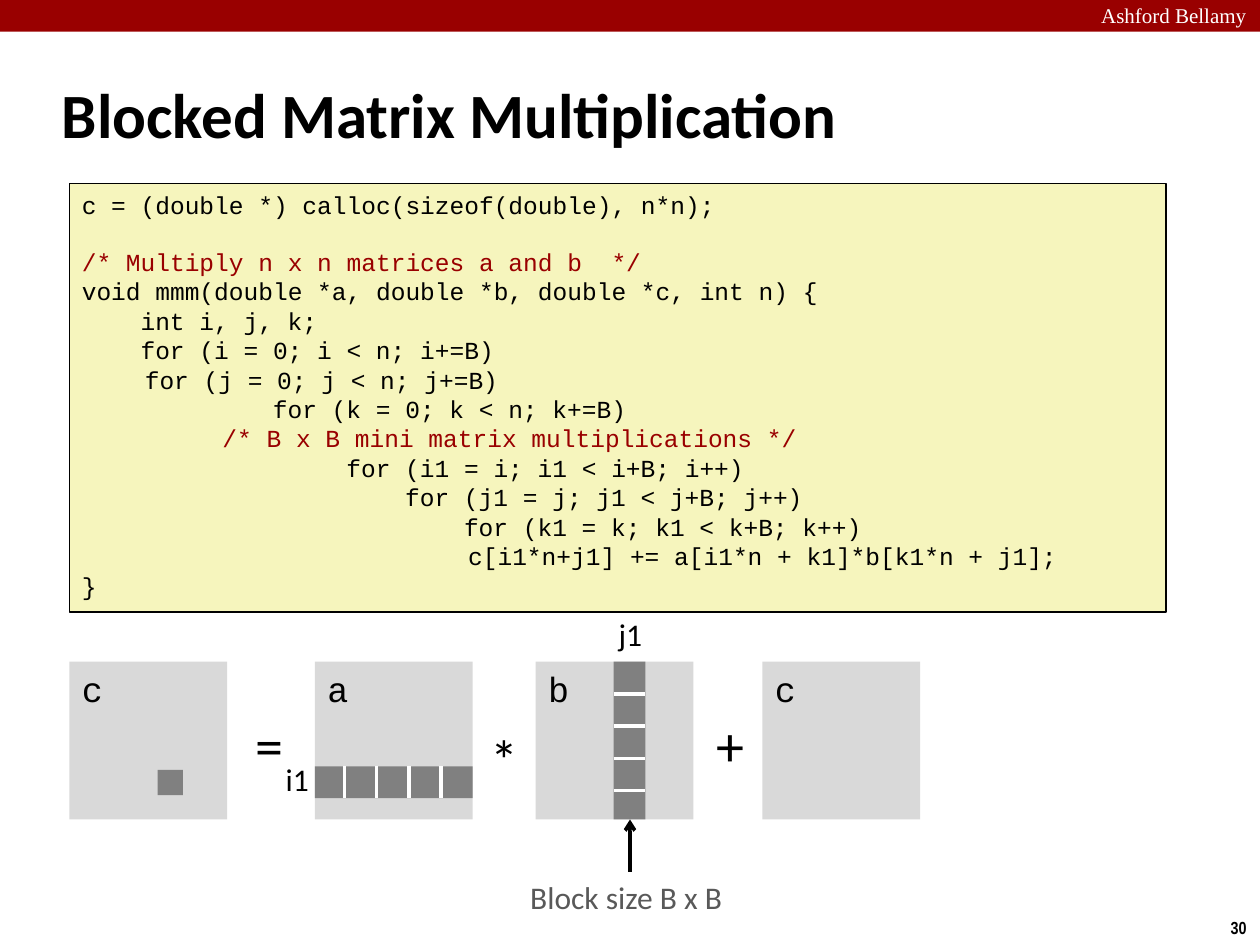
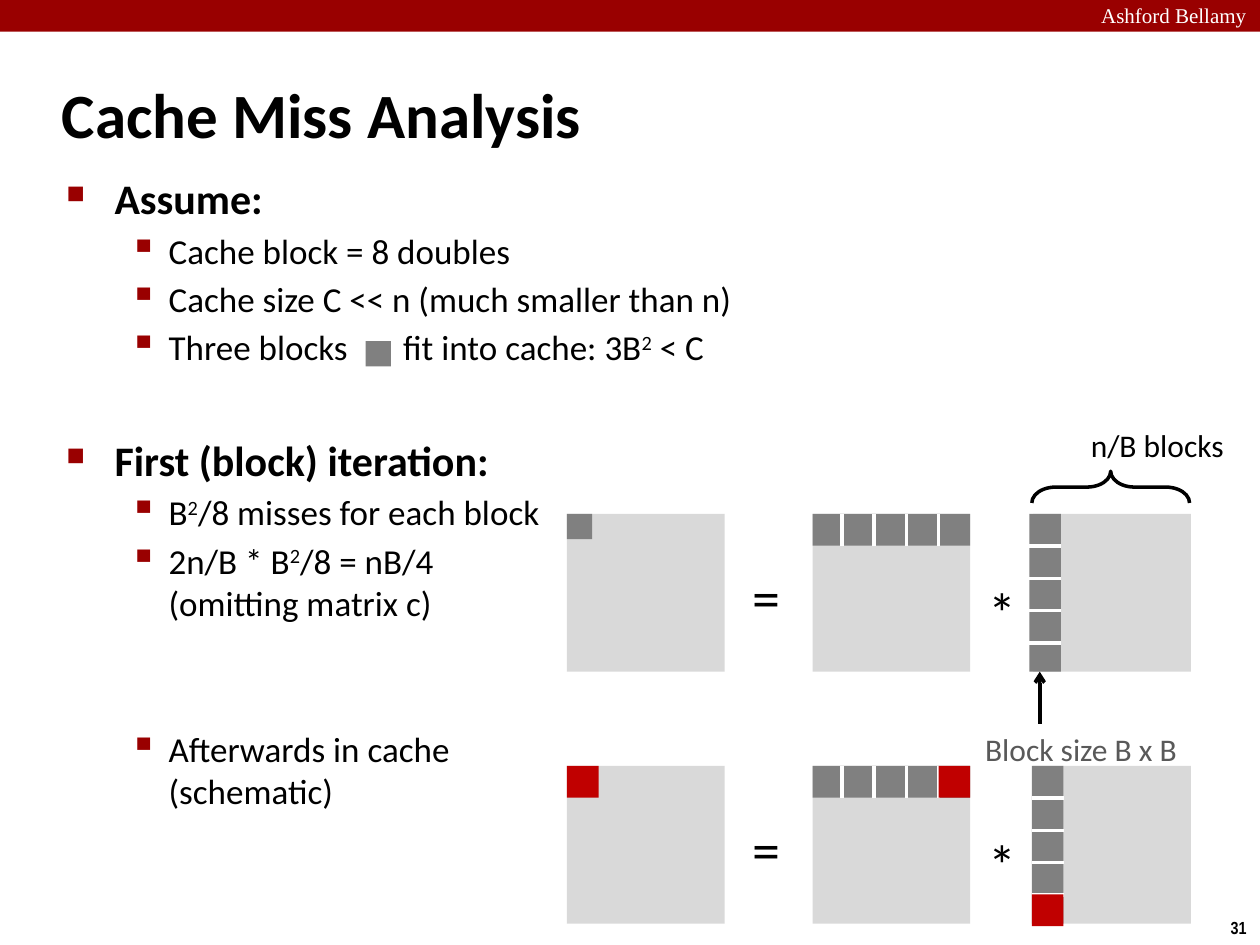
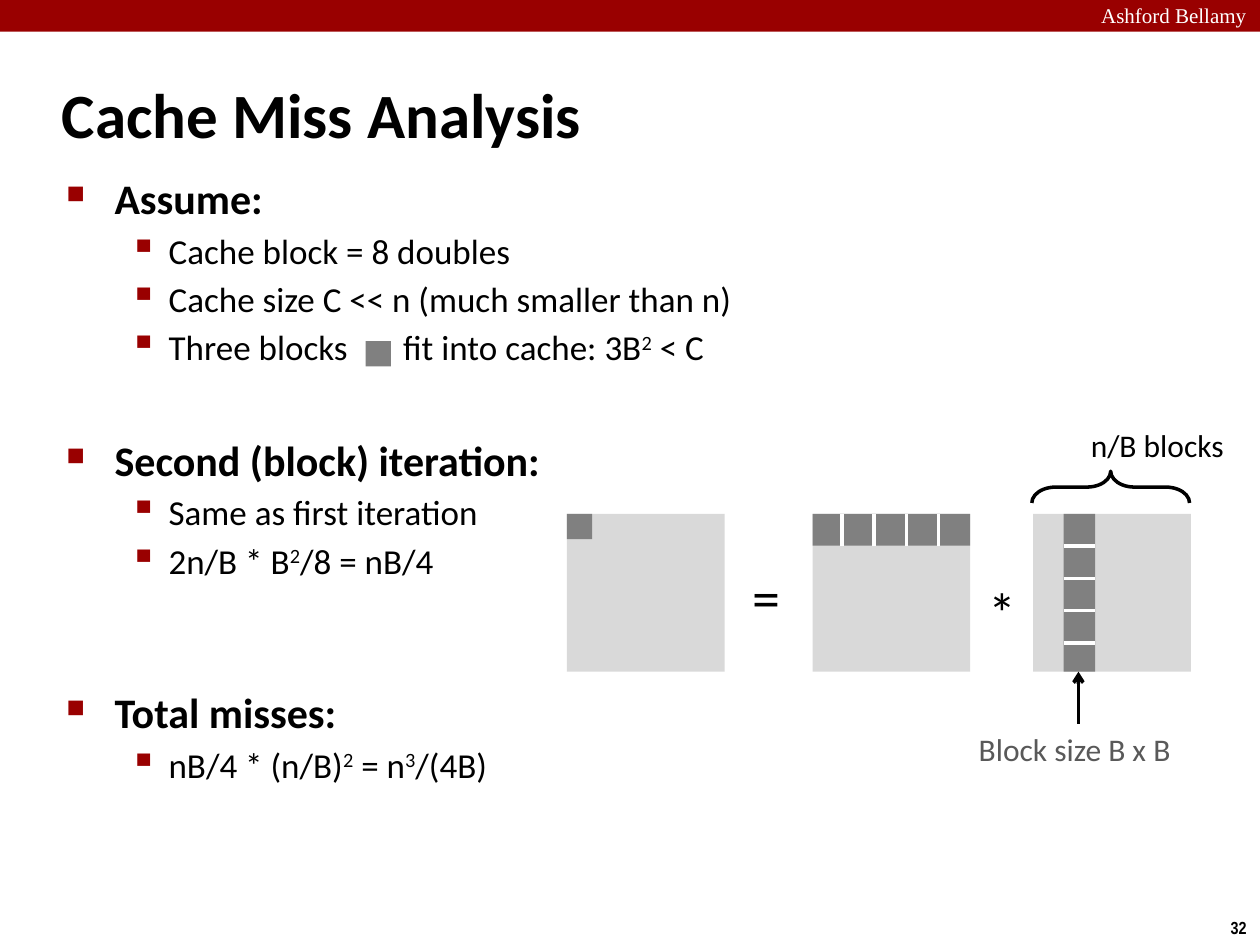
from lxml import etree
from pptx import Presentation
from pptx.dml.color import RGBColor
from pptx.enum.shapes import MSO_CONNECTOR, MSO_SHAPE
from pptx.enum.text import MSO_ANCHOR, PP_ALIGN
from pptx.oxml.ns import qn
from pptx.util import Cm, Pt

RECTANGLE = MSO_SHAPE.RECTANGLE
LEFT_BRACE = MSO_SHAPE.LEFT_BRACE
STRAIGHT = MSO_CONNECTOR.STRAIGHT
TOP, MIDDLE = MSO_ANCHOR.TOP, MSO_ANCHOR.MIDDLE
LEFT = PP_ALIGN.LEFT

COLORS = {
    "crimson": "990000", "white": "FFFFFF", "black": "000000",
    "code": "F6F5BD", "matrix": "D9D9D9", "block": "808080",
    "cached": "C00000", "caption": "595959",
}
FORMATS = {
    "header": {"name": "Times New Roman", "size": Pt(12), "color": "white"},
    "number": {"name": "Arial Narrow", "size": Pt(10), "bold": True, "color": "black"},
    "title": {"name": "Calibri", "size": Pt(36), "bold": True, "color": "black"},
    "heading": {"name": "Calibri", "size": Pt(24), "bold": True, "color": "black"},
    "item": {"name": "Calibri", "size": Pt(20), "bold": False, "color": "black"},
    "label": {"name": "Calibri", "size": Pt(18), "color": "black"},
    "caption": {"name": "Calibri", "size": Pt(18), "color": "caption"},
    "operator": {"name": "Calibri", "size": Pt(32), "color": "black"},
    "matrix": {"name": "Courier New", "size": Pt(20), "color": "black"},
    "code": {"name": "Courier New", "size": Pt(14), "color": "black"},
    "comment": {"name": "Courier New", "size": Pt(14), "color": "crimson"},
}
LEVELS = {
    "heading": {"indent": (0.97, -0.97), "before": 4.3, "bullet": "■", "scale": 60},
    "item": {"indent": (2.06, -0.79), "before": 3.6, "bullet": "▪", "scale": 110},
}

SIDE = 3.18
CELL = 0.64
SMALL_BLOCK = 0.51
DIVIDER_PITCH = 0.65
ROW_SHIFT = -0.06
A_LEFT, B_LEFT, SUM_LEFT = 4.95, 9.4, 13.97
OPERATORS = {"=": (3.5, 0.85), "*": (8.24, 1.15), "+": (12.8, 0.85)}

CODE_TAB = Cm(1.27)
CODE_CHARACTER = Pt(8.4)
CODE_LINE = 15.9
CODE = [
    (0, 0, "code", "c = (double *) calloc(sizeof(double), n*n);"),
    (0, 0, "comment", "/* Multiply n x n matrices a and b  */"),
    (0, 0, "code", "void mmm(double *a, double *b, double *c, int n) {"),
    (0, 4, "code", "int i, j, k;"),
    (0, 4, "code", "for (i = 0; i < n; i+=B)"),
    (1, 0, "code", "for (j = 0; j < n; j+=B)"),
    (0, 13, "code", "for (k = 0; k < n; k+=B)"),
    (2, 1, "comment", "/* B x B mini matrix multiplications */"),
    (0, 18, "code", "for (i1 = i; i1 < i+B; i++)"),
    (0, 22, "code", "for (j1 = j; j1 < j+B; j++)"),
    (0, 26, "code", "for (k1 = k; k1 < k+B; k++)"),
    (1, 22, "code", "c[i1*n+j1] += a[i1*n + k1]*b[k1*n + j1];"),
    (0, 0, "code", "}"),
]
CODE_GAP_BEFORE = 1

SQUARED = ("2", {"baseline": "30000"})
CUBED = ("3", {"baseline": "30000"})
BLOCK_GAP = (" ", {"spc": "2710"})
BREAK = "\n"
ASSUMPTIONS = [
    ("heading", 0, ["Assume:"]),
    ("item", 0, ["Cache block = 8 doubles"]),
    ("item", 0, ["Cache size C << n (much smaller than n)"]),
    ("item", 0, ["Three blocks", BLOCK_GAP, "fit into cache: 3B", SQUARED, " < C"]),
]
FIRST_ITERATION = [
    ("heading", 33.6, ["First (block) iteration:"]),
    ("item", 0, ["B", SQUARED, "/8 misses for each block"]),
    ("item", 0, ["2n/B * B", SQUARED, "/8 = nB/4", BREAK, "(omitting matrix c)"]),
    ("item", 56, ["Afterwards in cache", BREAK, "(schematic)"]),
]
SECOND_ITERATION = [
    ("heading", 33.6, ["Second (block) iteration:"]),
    ("item", 0, ["Same as first iteration"]),
    ("item", 0, ["2n/B * B", SQUARED, "/8 = nB/4"]),
    ("heading", 56, ["Total misses:"]),
    ("item", 0, ["nB/4 * (n/B)", SQUARED, " = n", CUBED, "/(4B)"]),
]


def rgb(color):
    return RGBColor.from_string(COLORS[color])


def apply_format(font, style):
    for attribute, value in FORMATS[style].items():
        if attribute == "color":
            font.color.rgb = rgb(value)
        else:
            setattr(font, attribute, value)


def add_run(paragraph, text, style):
    run = paragraph.add_run()
    run.text = text
    apply_format(run.font, style)
    return run


def next_paragraph(frame, index):
    paragraph = frame.paragraphs[0] if index == 0 else frame.add_paragraph()
    paragraph.alignment = LEFT
    return paragraph


def add_text(slide, left, top, width, height, text, style, anchor=TOP):
    box = slide.shapes.add_textbox(Cm(left), Cm(top), Cm(width), Cm(height))
    frame = box.text_frame
    frame.word_wrap = False
    frame.vertical_anchor = anchor
    add_run(next_paragraph(frame, 0), text, style)


def add_rectangle(slide, left, top, width, height, fill, outline=None):
    shape = slide.shapes.add_shape(RECTANGLE, Cm(left), Cm(top), Cm(width), Cm(height))
    shape.shadow.inherit = False
    shape.fill.solid()
    shape.fill.fore_color.rgb = rgb(fill)
    if outline:
        shape.line.color.rgb = rgb(outline)
        shape.line.width = Pt(1)
    else:
        shape.line.fill.background()
    return shape


def add_line(slide, start, end, color, arrow=False):
    line = slide.shapes.add_connector(STRAIGHT, *[Cm(value) for value in start + end])
    line.line.color.rgb = rgb(color)
    line.line.width = Pt(2)
    if arrow:
        etree.SubElement(line.line._get_or_add_ln(), qn("a:tailEnd"), type="arrow")
    etree.SubElement(line._element.spPr, qn("a:effectLst"))


def add_frame(presentation, title, number):
    slide = presentation.slides.add_slide(presentation.slide_layouts[6])
    add_rectangle(slide, 0, 0, 25.4, 0.64, "crimson")
    add_text(slide, 21.95, -0.08, 3.63, 0.76, "Ashford Bellamy", "header")
    add_text(slide, 24.56, 18.36, 0.86, 0.69, str(number), "number")
    add_text(slide, 1, 1.22, 21.08, 2.11, title, "title", MIDDLE)
    return slide


def add_code(slide, left, top, width, height):
    panel = add_rectangle(slide, left, top, width, height, "code", "black")
    frame = panel.text_frame
    frame.word_wrap = True
    frame.vertical_anchor = TOP
    for index, (tabs, characters, style, text) in enumerate(CODE):
        paragraph = next_paragraph(frame, index)
        margin = tabs * CODE_TAB + characters * CODE_CHARACTER
        paragraph._p.get_or_add_pPr().set("marL", str(int(margin)))
        if index == CODE_GAP_BEFORE:
            paragraph.space_before = Pt(CODE_LINE)
        add_run(paragraph, text, style)


def format_bullet(paragraph, level):
    properties = paragraph._p.get_or_add_pPr()
    for name, value in zip(("marL", "indent"), level["indent"]):
        properties.set(name, str(int(Cm(value))))
    color = etree.SubElement(properties, qn("a:buClr"))
    etree.SubElement(color, qn("a:srgbClr"), val=COLORS["crimson"])
    etree.SubElement(properties, qn("a:buSzPct"), val=str(level["scale"] * 1000))
    etree.SubElement(properties, qn("a:buChar"), char=level["bullet"])


def add_outline(slide, left, top, width, height, items):
    box = slide.shapes.add_textbox(Cm(left), Cm(top), Cm(width), Cm(height))
    frame = box.text_frame
    frame.word_wrap = True
    for index, (style, gap, pieces) in enumerate(items):
        paragraph = next_paragraph(frame, index)
        paragraph.space_before = Pt(LEVELS[style]["before"] + gap)
        format_bullet(paragraph, LEVELS[style])
        for piece in pieces:
            if piece == BREAK:
                paragraph.add_line_break()
                continue
            text, attributes = (piece, {}) if isinstance(piece, str) else piece
            run = add_run(paragraph, text, style)
            for name, value in attributes.items():
                run._r.get_or_add_rPr().set(name, value)
    add_rectangle(slide, left + 6.28, top + 3.53, SMALL_BLOCK, SMALL_BLOCK, "block")


def add_matrix(slide, left, top, name):
    matrix = add_rectangle(slide, left, top, SIDE, SIDE, "matrix")
    if name:
        matrix.text_frame.vertical_anchor = TOP
        add_run(next_paragraph(matrix.text_frame, 0), name, "matrix")


def add_row_strip(slide, left, top):
    add_rectangle(slide, left, top, SIDE, CELL, "block")
    for index in range(1, 5):
        x = left + index * DIVIDER_PITCH + ROW_SHIFT
        add_line(slide, (x, top), (x, top + CELL), "white")


def add_column_strip(slide, left, top):
    add_rectangle(slide, left, top, CELL, SIDE, "block")
    for index in range(1, 5):
        y = top + index * DIVIDER_PITCH
        add_line(slide, (left, y), (left + CELL, y), "white")


def add_product(slide, left, top, column, row=0, block=(0, 0), names="", cached=False):
    lefts = (0, A_LEFT, B_LEFT, SUM_LEFT) if names else (0, A_LEFT, B_LEFT)
    for index, offset in enumerate(lefts):
        add_matrix(slide, left + offset, top, names[index:index + 1])
    for symbol, (x, y) in list(OPERATORS.items())[:len(lefts) - 1]:
        add_text(slide, left + x, top + y, 1.09, 1.63, symbol, "operator")
    add_row_strip(slide, left + A_LEFT, top + row)
    add_column_strip(slide, left + B_LEFT + column, top)
    if cached:
        last = SIDE - CELL
        for x, y in ((0, 0), (A_LEFT + last, 0), (B_LEFT + column, last + 0.05)):
            add_rectangle(slide, left + x, top + y, CELL, CELL, "cached")
    else:
        x, y = block
        add_rectangle(slide, left + x, top + y, SMALL_BLOCK, SMALL_BLOCK, "block")


def add_block_size(slide, arrow_left, label_left, top):
    add_text(slide, label_left, top + 1.05, 4.52, 1.02, "Block size B x B", "caption")
    add_line(slide, (arrow_left, top + 1.05), (arrow_left, top), "black", arrow=True)


def add_block_count(slide, left, top):
    add_text(slide, left + 0.94, top, 3.3, 1.02, "n/B blocks", "label")
    brace = slide.shapes.add_shape(
        LEFT_BRACE, Cm(left + 1.27), Cm(top - 0.23), Cm(CELL), Cm(SIDE))
    brace.rotation = 90
    brace.adjustments[0] = 0.75
    brace.shadow.inherit = False
    brace.fill.background()
    brace.line.color.rgb = rgb("black")
    brace.line.width = Pt(2)


def add_multiplication_slide(presentation):
    slide = add_frame(presentation, "Blocked Matrix Multiplication", 30)
    add_code(slide, 1.4, 3.7, 22.1, 8.64)
    left, top = 1.4, 13.34
    add_product(slide, left, top, 1.57, 2.11, (1.78, 2.18), "cabc")
    add_text(slide, left + 4.11, top + 1.85, 0.99, 1.02, "i1", "label")
    add_text(slide, left + 10.82, top - 1.07, 0.99, 1.02, "j1", "label")
    add_block_size(slide, left + 11.3, left + 9.04, top + SIDE)


def add_analysis_slide(presentation, number, items, column, arrow, label):
    slide = add_frame(presentation, "Cache Miss Analysis", number)
    add_outline(slide, 1.09, 3.35, 21.95, 14.83, ASSUMPTIONS + items)
    left, top = 11.43, 10.36
    add_product(slide, left, top, column)
    add_block_size(slide, left + arrow, left + label, top + SIDE)
    add_block_count(slide, left + B_LEFT - 0.03, top - 1.9)
    return slide


def main():
    presentation = Presentation()
    presentation.slide_width = Cm(25.4)
    presentation.slide_height = Cm(19.05)
    add_multiplication_slide(presentation)
    first = add_analysis_slide(presentation, 31, FIRST_ITERATION, -0.08, 9.53, 8.18)
    add_product(first, 11.43, 15.44, -0.03, cached=True)
    add_analysis_slide(presentation, 32, SECOND_ITERATION, 0.61, 10.31, 8.05)
    presentation.save("out.pptx")


if __name__ == "__main__":
    main()
